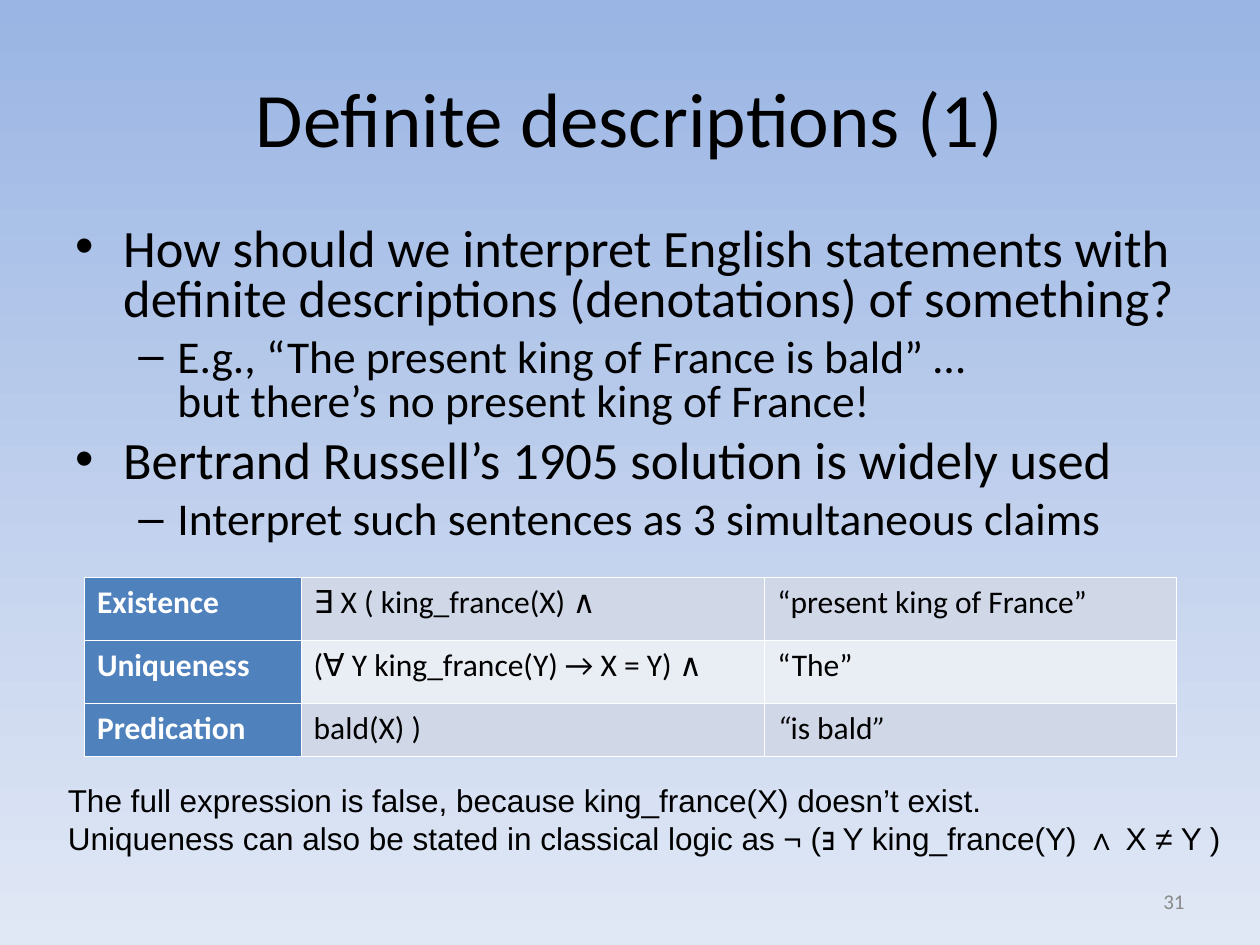
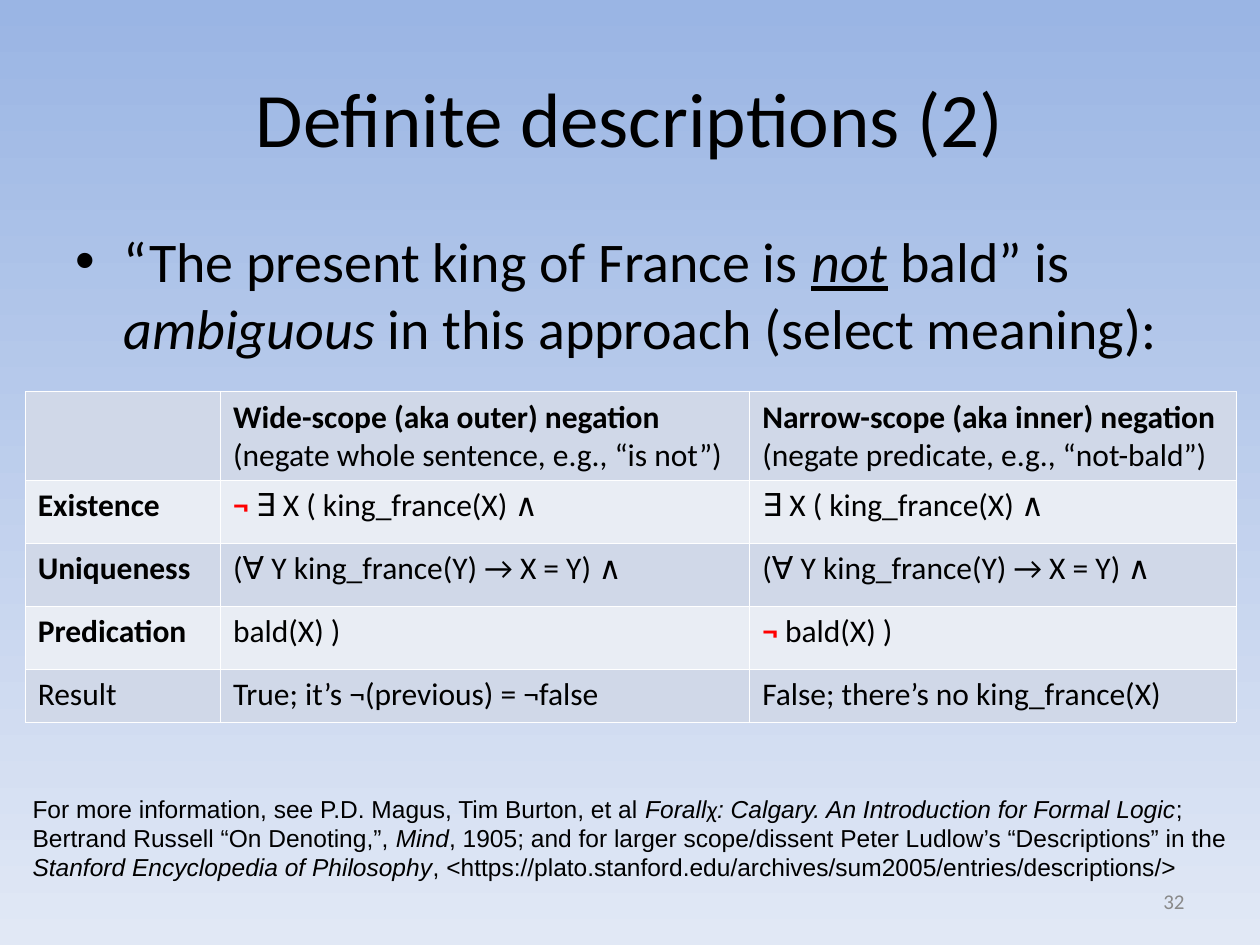
from lxml import etree
from pptx import Presentation
from pptx import util as u
from pptx.dml.color import RGBColor
from pptx.enum import text
from pptx.oxml import ns

COLORS = {
    "sky": "9AB5E4", "mist": "E1E8F5", "ink": "000000", "number": "898989",
    "header": "4F81BD", "band": "D0D8E8", "pale": "E9EDF4", "white": "FFFFFF", "red": "FF0000",
}
EXISTS = "∃ X ( king_france(X) ∧"
UNIQUE = "(∀ Y king_france(Y) → X = Y) ∧"
BALD = "bald(X) )"


def rgb(name):
    """Return a palette colour."""
    return RGBColor.from_string(COLORS[name])


class Deck:
    """Holds the shared style and the slide being built."""

    HEAD, NOTE = "Calibri", "Arial"
    BULLETS = {0: ("•", 0.38, 0.38), 1: ("–", 0.81, 0.31)}

    def __init__(self):
        """Start an empty 10 by 7.5 inch presentation."""
        self.presentation = Presentation()
        self.presentation.slide_width = u.Inches(10)
        self.presentation.slide_height = u.Inches(7.5)
        self.slide = None

    def new_slide(self, title, number):
        """Add a slide with its background, title and number."""
        self.slide = self.presentation.slides.add_slide(self.presentation.slide_layouts[6])
        fill = self.slide.background.fill
        fill.gradient()
        fill.gradient_angle = 270
        for stop, name, position in zip(fill.gradient_stops, ("sky", "mist"), (0, 1)):
            stop.color.rgb = rgb(name)
            stop.position = position
        self.label(title, (0.5, 0.3, 9, 1.25), 44, "ink", text.PP_ALIGN.CENTER)
        self.label(str(number), (7.17, 6.95, 2.33, 0.4), 12, "number", text.PP_ALIGN.RIGHT)

    def text_box(self, place):
        """Add a wrapping text box and return its frame."""
        frame = self.slide.shapes.add_textbox(*map(u.Inches, place)).text_frame
        frame.word_wrap = True
        return frame

    def label(self, words, place, size, color, alignment):
        """Add one vertically centred line."""
        frame = self.text_box(place)
        frame.vertical_anchor = text.MSO_ANCHOR.MIDDLE
        frame.paragraphs[0].alignment = alignment
        self.runs(frame.paragraphs[0], words, size, self.HEAD, color)

    def runs(self, paragraph, pieces, size, font, color="ink"):
        """Add runs; a piece is a string or (string, flags b, i, u, r = red, h = heading font)."""
        for piece in [pieces] if isinstance(pieces, str) else pieces:
            words, flags = (piece, "") if isinstance(piece, str) else piece
            for index, line in enumerate(words.split("\n")):
                if index:
                    paragraph.add_line_break()
                run = paragraph.add_run()
                run.text = line
                run.font.size = u.Pt(size)
                run.font.name = self.HEAD if "h" in flags else font
                run.font.bold = "b" in flags
                run.font.italic = "i" in flags
                run.font.underline = "u" in flags
                run.font.color.rgb = rgb("red" if "r" in flags else color)

    def paragraphs(self, frame, lines):
        """Yield a paragraph of the frame for each line."""
        for index, line in enumerate(lines):
            yield (frame.add_paragraph() if index else frame.paragraphs[0]), line

    def bullets(self, items, place, sizes, spacing=1.0):
        """Add a bulleted list of (level, pieces)."""
        frame = self.text_box(place)
        for paragraph, (level, pieces) in self.paragraphs(frame, items):
            mark, margin, hanging = self.BULLETS[level]
            properties = paragraph._p.get_or_add_pPr()
            properties.set("marL", str(u.Inches(margin)))
            properties.set("indent", str(-u.Inches(hanging)))
            etree.SubElement(properties, ns.qn("a:buFont")).set("typeface", self.NOTE)
            etree.SubElement(properties, ns.qn("a:buChar")).set("char", mark)
            paragraph.level = level
            paragraph.line_spacing = spacing
            if paragraph._p is not frame.paragraphs[0]._p:
                paragraph.space_before = u.Pt(sizes[level] / 4)
            self.runs(paragraph, pieces, sizes[level], self.HEAD)

    def note(self, lines, place, size):
        """Add unwrapped lines in the note font."""
        frame = self.text_box(place)
        frame.word_wrap = False
        frame.auto_size = text.MSO_AUTO_SIZE.SHAPE_TO_FIT_TEXT
        for paragraph, pieces in self.paragraphs(frame, lines):
            self.runs(paragraph, pieces, size, self.NOTE)

    def table(self, rows, left, top, widths, heights, header_column=False):
        """Add a banded table; a cell is a list of lines."""
        place = map(u.Inches, (left, top, sum(widths), sum(heights)))
        table = self.slide.shapes.add_table(len(rows), len(widths), *place).table
        table.first_row = table.horz_banding = False
        for column, width in zip(table.columns, widths):
            column.width = u.Inches(width)
        for row, height in zip(table.rows, heights):
            row.height = u.Inches(height)
        for row_index, row in enumerate(rows):
            for column_index, lines in enumerate(row):
                cell = table.cell(row_index, column_index)
                is_header = header_column and column_index == 0
                band = "pale" if row_index % 2 else "band"
                cell.fill.solid()
                cell.fill.fore_color.rgb = rgb("header" if is_header else band)
                self.borders(cell)
                for paragraph, pieces in self.paragraphs(cell.text_frame, lines):
                    self.runs(paragraph, pieces, 18, self.HEAD, "white" if is_header else "ink")

    def borders(self, cell):
        """Draw thin white lines round a cell."""
        properties = cell._tc.get_or_add_tcPr()
        for index, side in enumerate("LRTB"):
            line = etree.Element(ns.qn("a:ln" + side), w=str(u.Pt(0.45)))
            fill = etree.SubElement(line, ns.qn("a:solidFill"))
            etree.SubElement(fill, ns.qn("a:srgbClr")).set("val", COLORS["white"])
            properties.insert(index, line)


def main():
    """Build both slides and save them."""
    deck = Deck()

    deck.new_slide("Definite descriptions (1)", 31)
    deck.bullets([
        (0, "How should we interpret English statements with definite descriptions "
            "(denotations) of something?"),
        (1, "E.g., “The present king of France is bald” …\nbut there’s no present king of France!"),
        (0, "Bertrand Russell’s 1905 solution is widely used"),
        (1, "Interpret such sentences as 3 simultaneous claims"),
    ], (0.5, 1.75, 9, 2.75), (30, 26), 0.8)
    deck.table([
        [[[("Existence", "b")]], [EXISTS], ["“present king of France”"]],
        [[[("Uniqueness", "b")]], [UNIQUE], ["“The”"]],
        [[[("Predication", "b")]], [BALD], [[("“", "i"), "is bald", ("”", "i")]]],
    ], 0.67, 4.58, (1.72, 3.68, 3.27), (0.5, 0.5, 0.42), header_column=True)
    deck.note([
        "The full expression is false, because king_france(X) doesn’t exist.",
        "Uniqueness can also be stated in classical logic as ¬ (∃ Y king_france(Y) ∧ X ≠ Y )",
    ], (0.44, 6.15, 9.37, 0.7), 18)

    deck.new_slide("Definite descriptions (2)", 32)
    deck.bullets([
        (0, ["“The present king of France is ", ("not", "iu"), " bald” is ", ("ambiguous", "i"),
             " in this approach (select meaning):"]),
    ], (0.5, 1.75, 9, 4.95), (32,))
    deck.table([
        [[],
         [[("Wide-scope (aka outer) negation", "b")], "(negate whole sentence, e.g., “is not”)"],
         [[("Narrow-scope (aka inner) negation", "b")], "(negate predicate, e.g., “not-bald”)"]],
        [[[("Existence", "b")]], [[("¬", "br"), " " + EXISTS]], [EXISTS]],
        [[[("Uniqueness", "b")]], [UNIQUE], [UNIQUE]],
        [[[("Predication", "b")]], [BALD], [[("¬", "br"), " " + BALD]]],
        [["Result"], ["True; it’s ¬(previous) = ¬false"], ["False; there’s no king_france(X)"]],
    ], 0.2, 3.11, (1.55, 4.2, 3.86), (0.7, 0.5, 0.5, 0.5, 0.42))
    deck.note([
        ["For more information, see P.D. Magus, Tim Burton, et al ", ("Forall", "i"), ("χ", "ih"),
         (": Calgary. An Introduction for Formal Logic", "i"), ";"],
        ["Bertrand Russell “On Denoting,”, ", ("Mind", "i"),
         ", 1905; and for larger scope/dissent Peter Ludlow’s “Descriptions” in the"],
        [("Stanford Encyclopedia of Philosophy", "i"),
         ", <https://plato.stanford.edu/archives/sum2005/entries/descriptions/>"],
    ], (0.16, 6.25, 9.68, 0.8), 14)

    deck.presentation.save("out.pptx")


if __name__ == "__main__":
    main()
